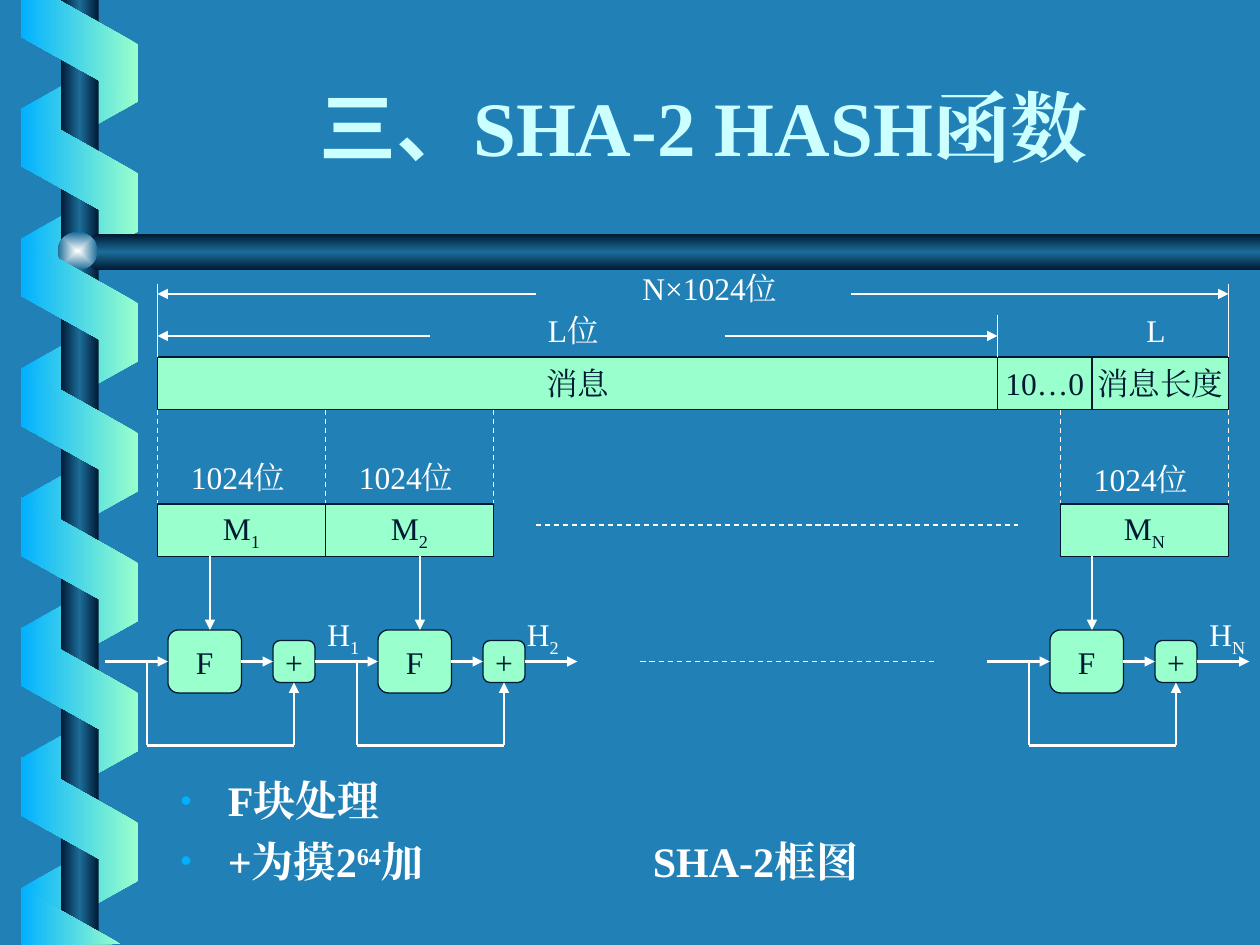
from dataclasses import dataclass
from typing import NamedTuple

from lxml import etree
from pptx import Presentation
from pptx.dml.color import RGBColor
from pptx.enum.dml import MSO_LINE
from pptx.enum.shapes import MSO_CONNECTOR, MSO_SHAPE
from pptx.enum.text import MSO_ANCHOR, MSO_AUTO_SIZE, PP_ALIGN
from pptx.oxml import parse_xml
from pptx.oxml.ns import nsdecls, qn
from pptx.util import Cm, Pt

RECT, OVAL = MSO_SHAPE.RECTANGLE, MSO_SHAPE.OVAL
ROUND, SLANT = MSO_SHAPE.FLOWCHART_ALTERNATE_PROCESS, MSO_SHAPE.PARALLELOGRAM
DASH, LINE = MSO_LINE.DASH, MSO_CONNECTOR.STRAIGHT
MID, LOW = MSO_ANCHOR.MIDDLE, MSO_ANCHOR.BOTTOM
CENTER, JUSTIFY = PP_ALIGN.CENTER, PP_ALIGN.JUSTIFY
FIXED = MSO_AUTO_SIZE.NONE
LEFT, BOTTOM, RIGHT = 1, 2, 3
CELL = 2.54 / 12
SERIF, SANS, SLIM = "Times New Roman", "Noto Sans CJK SC", "Arial Narrow"
HEX = {"back": "2181B7", "mint": "99FFCC", "ink": "001932", "white": "FFFFFF",
       "title": "CCFFFF", "blue": "01B0FF", "steel": "1C6D9A", "shine": "FEFFFF"}
ROD = ((0, "ink"), (50, "steel"), (100, "ink"))
FRONT = ((0, "mint"), (100, "blue"))
REAR = ((0, "blue"), (100, "mint"))
BALL = ((0, "shine"), (100, "steel"))


class Run(NamedTuple):
    text: str
    shift: int = 0
    font: str = SERIF


class Box(NamedTuple):
    x: float
    y: float
    w: float
    h: float


class Wire(NamedTuple):
    x1: float
    y1: float
    x2: float
    y2: float
    head: str = ""
    dash: bool = False


@dataclass
class Stage:
    left: int
    block: int
    note: float
    sub: str
    tag: int


def u(n: float) -> Cm:
    return Cm(n * CELL)


def rgb(name: str) -> RGBColor:
    return RGBColor.from_string(HEX[name])


def write(para, runs: list[Run], color: str, size: int = 18, bold: bool = False) -> None:
    for part in runs:
        run = para.add_run()
        run.text = part.text
        style = {"name": part.font, "size": Pt(size), "bold": bold}
        for key, value in style.items():
            setattr(run.font, key, value)
        run.font.color.rgb = rgb(color)
        props = run.font._element
        etree.SubElement(props, qn("a:ea")).set("typeface", part.font)
        if part.shift:
            props.set("baseline", str(part.shift * 1000))


def place(shape, box: Box) -> None:
    for key, value in zip(("left", "top", "width", "height"), box):
        setattr(shape, key, u(value))


def shade(shape, stops: tuple, angle: int | None) -> None:
    shape.shadow.inherit = False
    shape.line.fill.background()
    shape.fill.background()
    marks = "".join(f'<a:gs pos="{at * 1000}"><a:srgbClr val="{HEX[name]}"/></a:gs>'
                    for at, name in stops)
    if angle is None:
        way = ('<a:path path="rect"><a:fillToRect l="50000" t="50000" '
               'r="50000" b="50000"/></a:path>')
    else:
        way = f'<a:lin ang="{angle * 60000}" scaled="1"/>'
    grad = parse_xml(f'<a:gradFill {nsdecls("a")} rotWithShape="0">'
                     f'<a:gsLst>{marks}</a:gsLst>{way}</a:gradFill>')
    props = shape._element.spPr
    props.replace(props.find(qn("a:noFill")), grad)


def solid(shapes, kind, box: Box, stops: tuple, angle: int | None):
    shape = shapes.add_shape(kind, *map(u, box))
    shade(shape, stops, angle)
    return shape


def outline(shapes, points: list, stops: tuple, angle: int) -> None:
    spots = [(u(x), u(y)) for x, y in points]
    build = shapes.build_freeform(*spots[0], scale=1.0)
    build.add_line_segments(spots[1:], close=True)
    shade(build.convert_to_shape(), stops, angle)


def coil(shapes, top: float, count: int, rear: bool) -> None:
    for i in range(count):
        band = solid(shapes, SLANT, Box(1.68, top + 12.37 * i, 11.76, 11.16),
                     REAR if rear else FRONT, 180)
        band.adjustments[0] = 0.56
        band.rotation = 90 if rear else 270
        if rear:
            band._element.spPr.find(qn("a:xfrm")).set("flipH", "1")


def block(shapes, kind, box: Box, runs: list[Run]):
    shape = shapes.add_shape(kind, *map(u, box))
    shape.shadow.inherit = False
    shape.fill.solid()
    shape.fill.fore_color.rgb = rgb("mint")
    shape.line.color.rgb = rgb("ink")
    shape.line.width = Pt(0.75)
    frame = shape.text_frame
    frame.word_wrap, frame.vertical_anchor = False, MID
    frame.paragraphs[0].alignment = CENTER
    write(frame.paragraphs[0], runs, "ink")
    return shape


def label(shapes, box: Box, runs: list[Run], size: int = 18, bold: bool = False) -> None:
    frame = shapes.add_textbox(*map(u, box)).text_frame
    frame.word_wrap = True
    write(frame.paragraphs[0], runs, "white", size, bold)


def link(shapes, wire: Wire, width: float = 0.75, start=None, end=None) -> None:
    line = shapes.add_connector(LINE, *map(u, wire[:4]))
    line.line.color.rgb = rgb("white")
    line.line.width = Pt(width)
    if wire.dash:
        line.line.dash_style = DASH
    if wire.head:
        etree.SubElement(line.line._get_or_add_ln(), qn(f"a:{wire.head}")).set("type", "triangle")
    etree.SubElement(line._element.spPr, qn("a:effectLst"))
    if start:
        line.begin_connect(*start)
    if end:
        line.end_connect(*end)


def step(shapes, stage: Stage, prior, last: bool):
    x = stage.left
    func = block(shapes, ROUND, Box(x, 60, 7, 6), [Run("F")])
    plus = block(shapes, ROUND, Box(x + 10, 61, 4, 4), [Run("+")])
    begin = (prior, RIGHT) if prior else None
    link(shapes, Wire(x + 4, 53, x + 4, 60, "tailEnd"), 1.5)
    link(shapes, Wire(x - 6, 63, x, 63, "tailEnd"), 1.5, begin, (func, LEFT))
    link(shapes, Wire(x + 7, 63, x + 10, 63, "tailEnd"), 1.5, (func, RIGHT), (plus, LEFT))
    link(shapes, Wire(x - 2, 63, x - 2, 71), 1.5)
    link(shapes, Wire(x - 2, 71, x + 12, 71), 1.5)
    link(shapes, Wire(x + 12, 71, x + 12, 65, "tailEnd"), 1.5, None, (plus, BOTTOM))
    if last:
        link(shapes, Wire(x + 14, 63, x + 19, 63, "tailEnd"), 1.5, (plus, RIGHT))
    label(shapes, Box(stage.tag, 58, 7, 5.3), [Run("H"), Run(stage.sub, -25)])
    return plus


def scenery(shapes) -> None:
    coil(shapes, 4.44, 7, True)
    solid(shapes, RECT, Box(5.8, 0, 3.6, 90), ROD, 180)
    outline(shapes, [(120, 22.3), (9.1, 22.3), (7.2, 24), (9.1, 25.7), (120, 25.7)], ROD, 90)
    solid(shapes, OVAL, Box(5.5, 22.1, 3.8, 3.6), BALL, None)
    coil(shapes, 10.56, 6, False)
    outline(shapes, [(2, 0), (2, 3.5), (13.1, 9.7), (13.1, 4.2), (5.6, 0)], FRONT, 180)
    outline(shapes, [(11.5, 89.9), (2, 84.6), (2, 90)], FRONT, 180)


def heading(title) -> None:
    place(title, Box(16, 5.5, 102, 11.5))
    frame = title.text_frame
    frame.auto_size, frame.vertical_anchor = FIXED, LOW
    frame.paragraphs[0].alignment = CENTER
    write(frame.paragraphs[0], [Run("三", 0, SANS), Run("、", 0, SLIM),
                                Run("SHA-2 HASH函数")], "title", 44, True)


def bullets(body, items: list) -> None:
    place(body, Box(16, 73.2, 40, 13))
    frame = body.text_frame
    frame.auto_size = FIXED
    for i, runs in enumerate(items):
        para = frame.add_paragraph() if i else frame.paragraphs[0]
        props = para._p.get_or_add_pPr()
        props.set("marL", str(u(4.5)))
        props.set("indent", str(-u(4.5)))
        tint = etree.SubElement(props, qn("a:buClr"))
        etree.SubElement(tint, qn("a:srgbClr")).set("val", HEX["blue"])
        etree.SubElement(props, qn("a:buSzPct")).set("val", "75000")
        etree.SubElement(props, qn("a:buChar")).set("char", "•")
        para.alignment, para.space_before = JUSTIFY, Pt(6 if i else 0)
        write(para, runs, "white", 24, True)


def main() -> None:
    deck = Presentation()
    deck.slide_width, deck.slide_height = u(120), u(90)
    slide = deck.slides.add_slide(deck.slide_layouts[1])
    slide.background.fill.solid()
    slide.background.fill.fore_color.rgb = rgb("back")
    shapes = slide.shapes
    scenery(shapes)
    heading(shapes.title)
    bullets(slide.placeholders[1], [[Run("F块处理")], [Run("+为摸2"), Run("64", 30), Run("加")]])

    for x, w, text in ((15, 80, "消息"), (95, 9, "10…0"), (104, 13, "消息长度")):
        block(shapes, RECT, Box(x, 34, w, 5), [Run(text)])
    for x, y in ((15, 27), (117, 27), (95, 30)):
        link(shapes, Wire(x, y, x, 34))
    for y, right, span in ((28, 117, 36), (32, 95, 26)):
        link(shapes, Wire(15, y, 15 + span, y, "headEnd"))
        link(shapes, Wire(right - span, y, right, y, "tailEnd"))
    for x, y, w, text in ((60, 25, 18, "N×1024位"), (51, 29, 8, "L位"), (108, 29, 8, "L")):
        label(shapes, Box(x, y, w, 4.8), [Run(text)])
    for x in (15, 31, 47, 101, 117):
        link(shapes, Wire(x, 39, x, 48, dash=True))
    for wire in (Wire(51, 50, 97, 50, dash=True), Wire(61, 63, 89, 63, dash=True)):
        link(shapes, wire)

    stages = [Stage(16, 15, 43, "1", 30), Stage(36, 31, 43, "2", 49),
              Stage(100, 101, 43.2, "N", 114)]
    plus = None
    for stage in stages:
        block(shapes, RECT, Box(stage.block, 48, 16, 5), [Run("M"), Run(stage.sub, -25)])
        label(shapes, Box(stage.block + 2, stage.note, 13, 4.8), [Run("1024位")])
        prior = None if stage.sub == "N" else plus
        plus = step(shapes, stage, prior, stage.sub != "1")
    label(shapes, Box(61, 79, 24, 6), [Run("SHA-2框图")], 24, True)
    deck.save("out.pptx")


if __name__ == "__main__":
    main()
